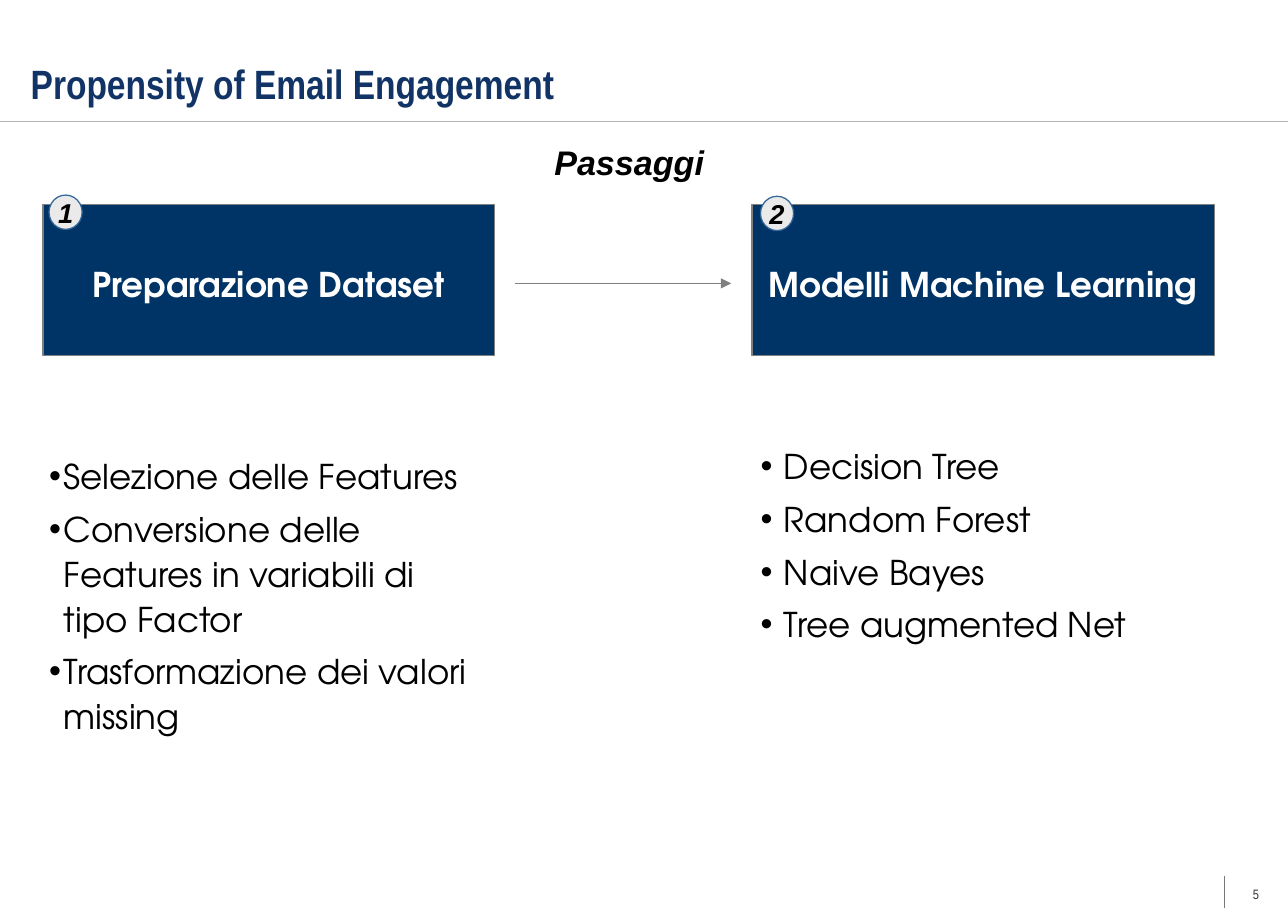
from dataclasses import dataclass

from lxml import etree
from pptx import Presentation
from pptx.dml.color import RGBColor
from pptx.enum.shapes import MSO_CONNECTOR, MSO_SHAPE
from pptx.enum.text import MSO_ANCHOR, MSO_AUTO_SIZE, PP_ALIGN
from pptx.oxml.ns import qn
from pptx.shapes.autoshape import Shape
from pptx.slide import Slide
from pptx.text.text import TextFrame, _Paragraph
from pptx.util import Emu, Pt

LEFT, CENTER = PP_ALIGN.LEFT, PP_ALIGN.CENTER
TOP, MIDDLE, BOTTOM = MSO_ANCHOR.TOP, MSO_ANCHOR.MIDDLE, MSO_ANCHOR.BOTTOM
NO_AUTOFIT = MSO_AUTO_SIZE.NONE
RECTANGLE, OVAL = MSO_SHAPE.RECTANGLE, MSO_SHAPE.OVAL
STRAIGHT = MSO_CONNECTOR.STRAIGHT

EMU_PER_PX = 9144
SLIDE_WIDTH, SLIDE_HEIGHT = 1050, 750
TWO_CONTENT_LAYOUT = 3
COLORS = {
    "title": "113365",
    "step": "003366",
    "step_line": "808080",
    "badge": "EAEAEA",
    "badge_line": "336699",
    "header_rule": "B4B4B4",
    "footer_rule": "787878",
    "page": "333333",
    "white": "FFFFFF",
    "black": "000000",
}


@dataclass(frozen=True)
class Box:
    left: int
    top: int
    width: int
    height: int

    def emu(self) -> tuple[Emu, Emu, Emu, Emu]:
        return px(self.left), px(self.top), px(self.width), px(self.height)


@dataclass(frozen=True)
class TextStyle:
    font: str
    size: int
    color: str
    bold: bool = False
    italic: bool = False


@dataclass(frozen=True)
class Step:
    number: str
    heading: str
    box: Box
    badge: Box
    list_box: Box
    indent: int
    items: tuple[str, ...]


@dataclass(frozen=True)
class Rule:
    start: tuple[int, int]
    end: tuple[int, int]
    color: str
    arrow: bool = False


TITLE_STYLE = TextStyle("Arial Narrow", 24, "title", bold=True)
SUBTITLE_STYLE = TextStyle("Arial", 20, "black", bold=True, italic=True)
HEADING_STYLE = TextStyle("TeX Gyre Adventor", 20, "white", bold=True)
BADGE_STYLE = TextStyle("Arial", 16, "black", bold=True, italic=True)
ITEM_STYLE = TextStyle("TeX Gyre Adventor", 20, "black")
PAGE_STYLE = TextStyle("Arial Narrow", 8, "page")

STEPS = (
    Step("1", "Preparazione Dataset", Box(35, 167, 368, 123), Box(40, 159, 27, 28),
         Box(40, 368, 345, 232), 12,
         ("Selezione delle Features",
          "Conversione delle Features in variabili di tipo Factor",
          "Trasformazione dei valori missing")),
    Step("2", "Modelli Machine Learning", Box(613, 167, 377, 123), Box(620, 160, 27, 28),
         Box(620, 360, 370, 165), 19,
         ("Decision Tree", "Random Forest", "Naive Bayes", "Tree augmented Net")),
)
RULES = (
    Rule((998, 714), (998, 740), "footer_rule"),
    Rule((0, 99), (SLIDE_WIDTH, 99), "header_rule"),
    Rule((420, 231), (596, 231), "step_line", arrow=True),
)


def px(length: int) -> Emu:
    return Emu(length * EMU_PER_PX)


def rgb(name: str) -> RGBColor:
    return RGBColor.from_string(COLORS[name])


def add_run(paragraph: _Paragraph, text: str, style: TextStyle) -> None:
    run = paragraph.add_run()
    run.text = text
    run.font.name = style.font
    run.font.size = Pt(style.size)
    run.font.bold = style.bold
    run.font.italic = style.italic
    run.font.color.rgb = rgb(style.color)


def prepare_frame(frame: TextFrame, anchor: MSO_ANCHOR, wrap: bool = True,
                  side: int = 0, edge: int = 0) -> None:
    frame.auto_size = NO_AUTOFIT
    frame.word_wrap = wrap
    frame.vertical_anchor = anchor
    frame.margin_left = frame.margin_right = px(side)
    frame.margin_top = frame.margin_bottom = px(edge)


def place(shape: Shape, box: Box) -> None:
    shape.left, shape.top, shape.width, shape.height = box.emu()


def fill_title(shape: Shape, text: str) -> None:
    place(shape, Box(18, 0, 1016, 91))
    prepare_frame(shape.text_frame, BOTTOM, side=7, edge=3)
    paragraph = shape.text_frame.paragraphs[0]
    paragraph.alignment = LEFT
    paragraph.line_spacing = Pt(27.8)
    add_run(paragraph, text, TITLE_STYLE)


def fill_list(shape: Shape, step: Step) -> None:
    place(shape, step.list_box)
    frame = shape.text_frame
    prepare_frame(frame, TOP)
    for index, item in enumerate(step.items):
        paragraph = frame.add_paragraph() if index else frame.paragraphs[0]
        paragraph.alignment = LEFT
        paragraph.line_spacing = 1.1
        paragraph.space_before = Pt(0)
        paragraph.space_after = Pt(4.5)
        properties = paragraph._p.get_or_add_pPr()
        properties.set("marL", str(px(step.indent)))
        properties.set("indent", str(-px(step.indent)))
        etree.SubElement(properties, qn("a:buChar")).set("char", "•")
        add_run(paragraph, item, ITEM_STYLE)


def add_label(slide: Slide, box: Box, text: str, style: TextStyle,
              anchor: MSO_ANCHOR) -> None:
    label = slide.shapes.add_textbox(*box.emu())
    prepare_frame(label.text_frame, anchor)
    paragraph = label.text_frame.paragraphs[0]
    paragraph.alignment = CENTER
    add_run(paragraph, text, style)


def add_block(slide: Slide, kind: MSO_SHAPE, box: Box, fill: str, line: str,
              text: str, style: TextStyle, spacing: float = 1.0) -> None:
    block = slide.shapes.add_shape(kind, *box.emu())
    block.shadow.inherit = False
    block.fill.solid()
    block.fill.fore_color.rgb = rgb(fill)
    block.line.color.rgb = rgb(line)
    block.line.width = Pt(0.75)
    prepare_frame(block.text_frame, MIDDLE, wrap=False)
    paragraph = block.text_frame.paragraphs[0]
    paragraph.alignment = CENTER
    paragraph.line_spacing = spacing
    add_run(paragraph, text, style)


def add_rule(slide: Slide, rule: Rule) -> None:
    points = [px(value) for value in rule.start + rule.end]
    connector = slide.shapes.add_connector(STRAIGHT, *points)
    connector.line.color.rgb = rgb(rule.color)
    connector.line.width = Pt(0.75)
    if rule.arrow:
        line = connector.line._get_or_add_ln()
        etree.SubElement(line, qn("a:tailEnd")).set("type", "triangle")
    etree.SubElement(connector._element.spPr, qn("a:effectLst"))


def main() -> None:
    presentation = Presentation()
    presentation.slide_width = px(SLIDE_WIDTH)
    presentation.slide_height = px(SLIDE_HEIGHT)
    slide = presentation.slides.add_slide(presentation.slide_layouts[TWO_CONTENT_LAYOUT])
    title, *bodies = slide.placeholders
    fill_title(title, "Propensity of Email Engagement")
    add_label(slide, Box(170, 115, 686, 35), "Passaggi", SUBTITLE_STYLE, TOP)
    for step, body in zip(STEPS, bodies):
        add_block(slide, RECTANGLE, step.box, "step", "step_line",
                  step.heading, HEADING_STYLE, spacing=1.2)
        add_block(slide, OVAL, step.badge, "badge", "badge_line", step.number, BADGE_STYLE)
        fill_list(body, step)
    for rule in RULES:
        add_rule(slide, rule)
    add_label(slide, Box(998, 715, 52, 27), "5", PAGE_STYLE, MIDDLE)
    presentation.save("out.pptx")


if __name__ == "__main__":
    main()
